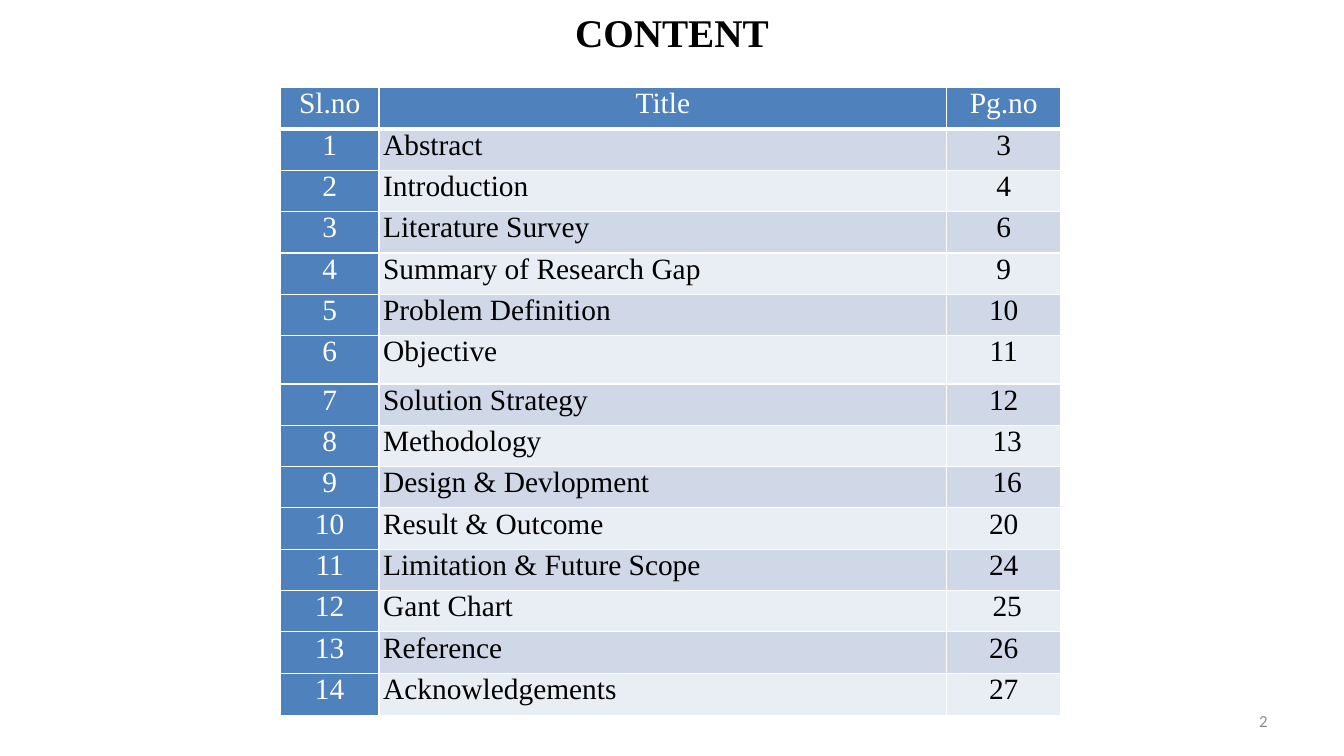
from dataclasses import dataclass
from typing import NamedTuple

from lxml.etree import SubElement
from pptx import Presentation
from pptx.dml.color import RGBColor
from pptx.enum.text import MSO_ANCHOR as Anchor, PP_ALIGN as Align
from pptx.oxml.ns import qn
from pptx.slide import Slide
from pptx.table import _Cell as Cell
from pptx.text.text import _Paragraph as Paragraph
from pptx.util import Inches, Pt


@dataclass(frozen=True)
class Theme:
    serif: str = "Times New Roman"
    sans: str = "Calibri"
    black: str = "000000"
    white: str = "FFFFFF"
    grey: str = "8C8C8C"
    accent: str = "4F81BD"
    bands: tuple[str, str] = ("D0D8E8", "E9EDF4")
    title_size: float = 28
    table_size: float = 21
    number_size: float = 12
    border: float = 1
    header_border: float = 3


class TextStyle(NamedTuple):
    font: str
    size: float
    color: str
    align: Align
    bold: bool = False


class Label(NamedTuple):
    text: str
    left: float
    top: float
    width: float
    height: float
    style: TextStyle


class Entry(NamedTuple):
    title: str
    page: int
    page_shift: float = 0


THEME = Theme()
HEADINGS = ("Sl.no", "Title", "Pg.no")
COLUMN_WIDTHS = (0.98, 5.63, 1.13)
COLUMN_ALIGNS = (Align.CENTER, Align.JUSTIFY, Align.CENTER)
ROW_HEIGHT = 0.41
TALL_ROWS = {6: 0.48, 14: 0.42}
CELL_INSET = 0.04
PAGE_SHIFT = 0.07

LABELS = (
    Label("CONTENT", 3.95, -0.05, 5.43, 0.73,
          TextStyle(THEME.serif, THEME.title_size, THEME.black, Align.CENTER, True)),
    Label("2", 9.56, 6.95, 3.11, 0.4,
          TextStyle(THEME.sans, THEME.number_size, THEME.grey, Align.RIGHT)),
)

ENTRIES = (
    Entry("Abstract", 3),
    Entry("Introduction", 4),
    Entry("Literature Survey", 6),
    Entry("Summary of Research Gap", 9),
    Entry("Problem Definition", 10),
    Entry("Objective", 11),
    Entry("Solution Strategy", 12),
    Entry("Methodology", 13, PAGE_SHIFT),
    Entry("Design & Devlopment", 16, PAGE_SHIFT),
    Entry("Result & Outcome", 20),
    Entry("Limitation & Future Scope", 24),
    Entry("Gant Chart", 25, PAGE_SHIFT),
    Entry("Reference", 26),
    Entry("Acknowledgements", 27),
)


def write(paragraph: Paragraph, text: str, style: TextStyle) -> None:
    paragraph.alignment = style.align
    run = paragraph.add_run()
    run.text = text
    run.font.name = style.font
    run.font.size = Pt(style.size)
    run.font.bold = style.bold
    run.font.color.rgb = RGBColor.from_string(style.color)


def add_label(slide: Slide, label: Label) -> None:
    shape = slide.shapes.add_textbox(
        Inches(label.left), Inches(label.top), Inches(label.width), Inches(label.height))
    frame = shape.text_frame
    frame.word_wrap = True
    frame.vertical_anchor = Anchor.MIDDLE
    write(frame.paragraphs[0], label.text, label.style)


def set_borders(cell: Cell, top: float, bottom: float) -> None:
    properties = cell._tc.get_or_add_tcPr()
    widths = {"a:lnL": THEME.border, "a:lnR": THEME.border, "a:lnT": top, "a:lnB": bottom}
    for tag, width in widths.items():
        line = SubElement(properties, qn(tag), w=str(Pt(width)))
        fill = SubElement(line, qn("a:solidFill"))
        SubElement(fill, qn("a:srgbClr"), val=THEME.white)


def fill_cell(cell: Cell, text: str, row: int, column: int, shift: float = 0) -> None:
    header = row == 0
    accented = header or column == 0
    set_borders(cell,
                THEME.header_border if row == 1 else THEME.border,
                THEME.header_border if header else THEME.border)
    cell.fill.solid()
    cell.fill.fore_color.rgb = RGBColor.from_string(
        THEME.accent if accented else THEME.bands[(row - 1) % 2])
    cell.margin_left = Inches(CELL_INSET + shift)
    cell.margin_right = Inches(CELL_INSET)
    cell.margin_top = cell.margin_bottom = 0
    cell.vertical_anchor = Anchor.TOP
    style = TextStyle(THEME.serif, THEME.table_size,
                      THEME.white if accented else THEME.black,
                      Align.CENTER if header else COLUMN_ALIGNS[column])
    write(cell.text_frame.paragraphs[0], text, style)


def add_contents_table(slide: Slide) -> None:
    heights = [TALL_ROWS.get(row, ROW_HEIGHT) for row in range(len(ENTRIES) + 1)]
    table = slide.shapes.add_table(
        len(heights), len(HEADINGS), Inches(2.78), Inches(0.87),
        Inches(sum(COLUMN_WIDTHS)), Inches(sum(heights))).table
    for column, width in zip(table.columns, COLUMN_WIDTHS):
        column.width = Inches(width)
    for row, height in zip(table.rows, heights):
        row.height = Inches(height)
    for column, heading in enumerate(HEADINGS):
        fill_cell(table.cell(0, column), heading, 0, column)
    for row, entry in enumerate(ENTRIES, start=1):
        fill_cell(table.cell(row, 0), str(row), row, 0)
        fill_cell(table.cell(row, 1), entry.title, row, 1)
        fill_cell(table.cell(row, 2), str(entry.page), row, 2, entry.page_shift)


def main() -> None:
    presentation = Presentation()
    presentation.slide_width = Inches(13.33)
    presentation.slide_height = Inches(7.5)
    slide = presentation.slides.add_slide(presentation.slide_layouts[6])
    for label in LABELS:
        add_label(slide, label)
    add_contents_table(slide)
    presentation.save("out.pptx")


if __name__ == "__main__":
    main()
